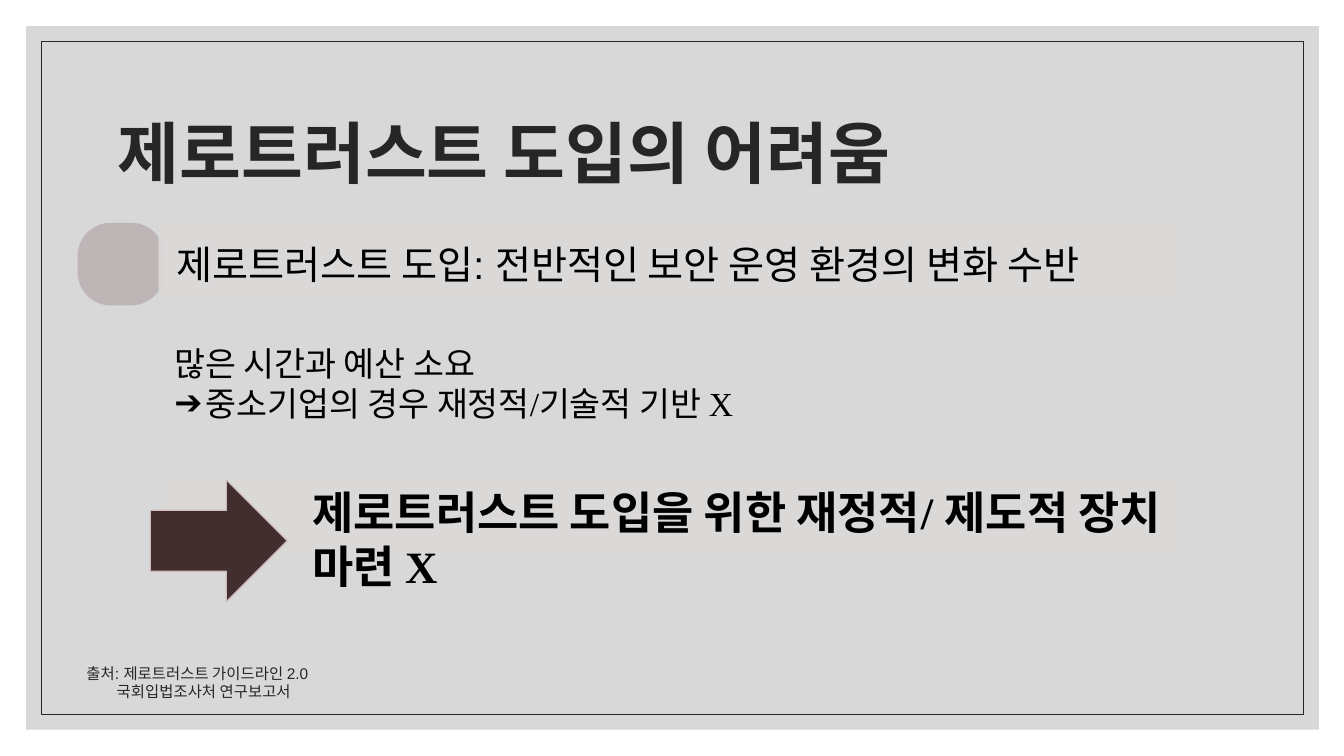
from lxml.etree import SubElement
from pptx import Presentation
from pptx.dml.color import RGBColor
from pptx.enum.shapes import MSO_SHAPE
from pptx.enum.text import MSO_ANCHOR
from pptx.oxml.ns import qn
from pptx.util import Inches, Pt

INK = RGBColor(0x26, 0x26, 0x26)
BLACK = RGBColor(0x00, 0x00, 0x00)
PANEL = RGBColor(0xBF, 0xBF, 0xBF)
BAND = RGBColor(0xDC, 0xD9, 0xD9)
BADGE = RGBColor(0xBD, 0xB5, 0xB6)
ARROW = RGBColor(0x42, 0x2E, 0x2E)
ARROW_EDGE = RGBColor(0xD0, 0xBC, 0xBC)

SANS, SERIF = "Arial", "Times New Roman"


def set_opacity(color_format, percent):
    for color in color_format._xFill.iter(qn("a:srgbClr")):
        SubElement(color, qn("a:alpha"), val=str(percent * 1000))


def add_block(slide, kind, box, fill=None, line=None, width=1, opacity=None):
    block = slide.shapes.add_shape(kind, *map(Inches, box))
    block.shadow.inherit = False
    if fill is None:
        block.fill.background()
    else:
        block.fill.solid()
        block.fill.fore_color.rgb = fill
    if line is None:
        block.line.fill.background()
    else:
        block.line.color.rgb = line
        block.line.width = Pt(width)
    if opacity is not None:
        for color in block._element.spPr.iter(qn("a:srgbClr")):
            SubElement(color, qn("a:alpha"), val=str(opacity * 1000))
    return block


def add_text(slide, box, lines, style, anchor=MSO_ANCHOR.TOP, spacing=None, inset=None):
    frame = slide.shapes.add_textbox(*map(Inches, box)).text_frame
    frame.word_wrap = True
    frame.vertical_anchor = anchor
    if inset is not None:
        for side in ("left", "top", "right", "bottom"):
            setattr(frame, f"margin_{side}", Inches(inset))
    for index, line in enumerate(lines):
        paragraph = frame.add_paragraph() if index else frame.paragraphs[0]
        paragraph.text = line
        if spacing is not None:
            paragraph.line_spacing = spacing
        font = paragraph.runs[0].font
        for name, value in style.items():
            setattr(font, name, value)
        font.color.rgb = INK if style in (TITLE, SOURCE) else BLACK
    return frame.paragraphs


def indent(paragraph, left, bullet=None):
    properties = paragraph._p.get_or_add_pPr()
    properties.set("marL", str(Inches(left)))
    if bullet:
        properties.set("indent", str(-Inches(left)))
        SubElement(properties, qn("a:buFont"), typeface=SANS)
        SubElement(properties, qn("a:buChar"), char=bullet)


TITLE = {"name": SANS, "size": Pt(48), "bold": True}
SOURCE = {"name": SANS, "size": Pt(11)}
HEADLINE = {"name": SANS, "size": Pt(28)}
DETAIL = {"name": SERIF, "size": Pt(24)}
CONCLUSION = {"name": SERIF, "size": Pt(32), "bold": True}


def add_frame(slide):
    add_block(slide, MSO_SHAPE.RECTANGLE, (0.26, 0.26, 12.82, 6.98), PANEL, opacity=60)
    add_block(slide, MSO_SHAPE.RECTANGLE, (0.41, 0.41, 12.52, 6.68), line=INK, width=0.5)


def add_band(slide, left, top):
    add_block(slide, MSO_SHAPE.RECTANGLE, (left, top, 10.11, 0.77), BAND, BAND, opacity=90)


def main():
    deck = Presentation()
    deck.slide_width, deck.slide_height = Inches(13.33), Inches(7.5)
    slide = deck.slides.add_slide(deck.slide_layouts[6])

    add_frame(slide)
    add_text(slide, (1.07, 0.61, 11, 1.89), ["제로트러스트 도입의 어려움"],
             TITLE, MSO_ANCHOR.MIDDLE, 0.9)
    sources = add_text(slide, (0.76, 6.6, 6.36, 0.4),
                       ["출처: 제로트러스트 가이드라인 2.0", "국회입법조사처 연구보고서"],
                       SOURCE, MSO_ANCHOR.BOTTOM)
    indent(sources[1], 0.3)

    details = add_text(slide, (1.63, 3.35, 10.98, 1.31),
                       ["많은 시간과 예산 소요", "중소기업의 경우 재정적/기술적 기반 X"], DETAIL)
    indent(details[1], 0.31, "➔")

    badge = add_block(slide, MSO_SHAPE.ROUNDED_RECTANGLE, (0.77, 2.21, 0.86, 0.82), BADGE)
    badge.adjustments[0] = 0.4
    add_band(slide, 1.58, 2.21)
    add_text(slide, (1.63, 2.26, 10.44, 0.77),
             ["제로트러스트 도입: 전반적인 보안 운영 환경의 변화 수반"],
             HEADLINE, MSO_ANCHOR.MIDDLE, 0.9, 0.12)

    add_band(slide, 1.62, 4.76)
    add_block(slide, MSO_SHAPE.RIGHT_ARROW, (1.49, 4.76, 1.36, 1.21), ARROW, ARROW_EDGE)
    add_text(slide, (3, 4.76, 9.38, 1.18),
             ["제로트러스트 도입을 위한 재정적/ 제도적 장치 마련 X"], CONCLUSION)

    deck.save("out.pptx")


if __name__ == "__main__":
    main()
